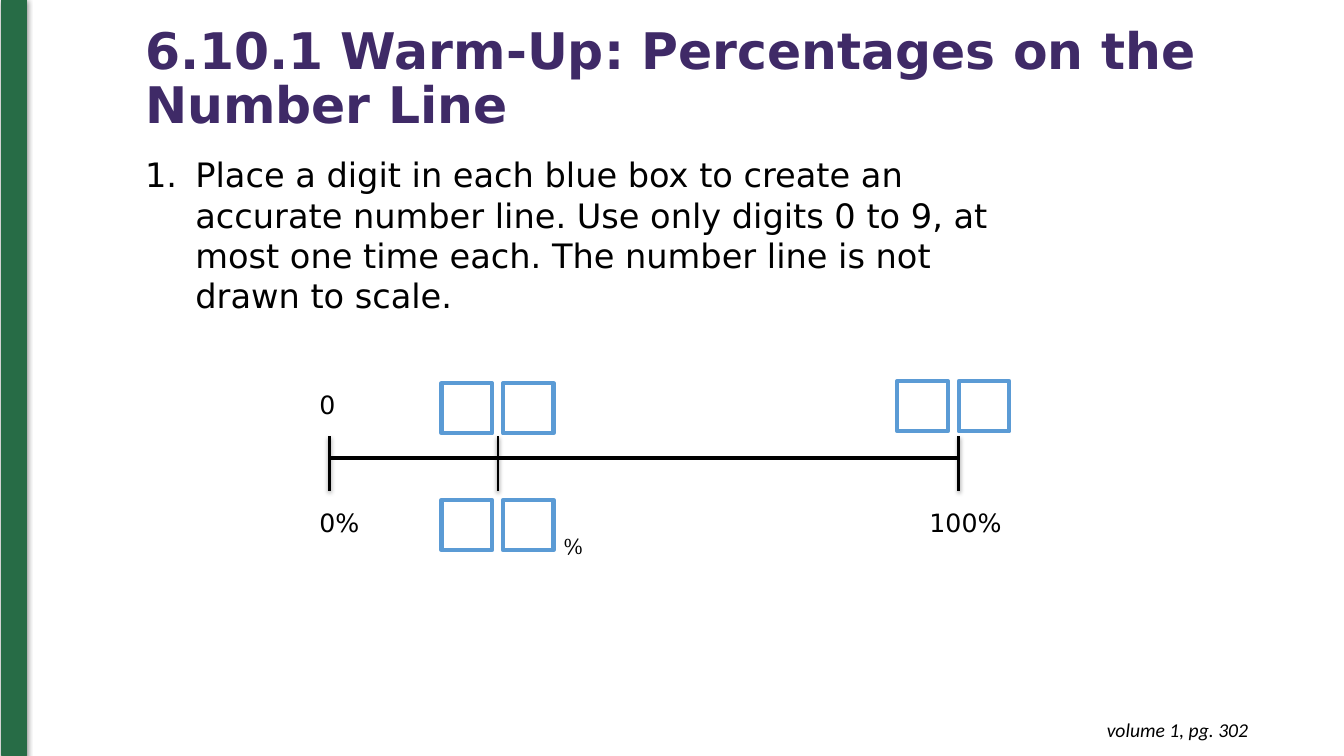
"""Build the warm-up slide about percentages on a number line."""
from lxml import etree
from pptx import Presentation, util as u
from pptx.dml.color import RGBColor
from pptx.enum import shapes, text
from pptx.oxml import ns

BLACK, WHITE, GREEN, PURPLE, BLUE = "000000", "FFFFFF", "276C46", "3F2A67", "5B9BD5"
SANS = "DejaVu Sans"
TITLE = "6.10.1 Warm-Up: Percentages on the Number Line"
TASK = ("Place a digit in each blue box to create an accurate number line. "
        "Use only digits 0 to 9, at most one time each.\u00a0"
        "The number line is not drawn to scale.")
PAGE = "volume 1, pg. 302"
LABELS = [
    ("0", (3.07, 3.81, 0.52, 0.38), 18, SANS, 1),
    ("0%", (3.07, 4.98, 0.72, 0.57), 18, SANS, 1),
    ("100%", (9.12, 4.98, 1.15, 0.48), 18, SANS, 1),
    ("%", (5.49, 5.1, 0.51, 0.35), 16, "Cambria", 1.5),
]
TICKS = [3.27, 4.94, 9.51]
AXIS, TOP, BASE = 4.54, 4.33, 4.87
PAIRS = [(4.38, 3.8), (4.38, 4.96), (8.9, 3.78)]
SIDE, STEP = 0.5, 0.61


def color(code):
    return RGBColor.from_string(code)


def add(parent, tag, **attrs):
    return etree.SubElement(parent, ns.qn(tag), {k: str(v) for k, v in attrs.items()})


def shade(item, alpha=0, blur=0, dist=0):
    """Give an item a downward shadow, or none when alpha is zero."""
    effect = add(item._element.spPr, "a:effectLst")
    if alpha:
        outer = add(effect, "a:outerShdw", blurRad=u.Pt(blur), dist=u.Pt(dist),
                    dir=5400000, rotWithShape=0)
        add(add(outer, "a:srgbClr", val=BLACK), "a:alpha", val=alpha * 1000)


def rect(slide, area, fill=None, line=None, width=1):
    box = slide.shapes.add_shape(shapes.MSO_SHAPE.RECTANGLE, *map(u.Inches, area))
    if fill:
        box.fill.solid()
        box.fill.fore_color.rgb = color(fill)
    else:
        box.fill.background()
    if line:
        box.line.color.rgb = color(line)
        box.line.width = u.Pt(width)
    else:
        box.line.fill.background()
    return box


def stroke(slide, start, end, width):
    line = slide.shapes.add_connector(shapes.MSO_CONNECTOR.STRAIGHT,
                                      *map(u.Inches, start + end))
    line.line.color.rgb = color(BLACK)
    line.line.width = u.Pt(width)
    return line


def write(box, words, size, font=SANS, ink=BLACK, bold=False, slant=False,
          align=text.PP_ALIGN.LEFT, anchor=text.MSO_ANCHOR.TOP):
    frame = box.text_frame
    frame.text = words
    frame.word_wrap = True
    frame.vertical_anchor = anchor
    para = frame.paragraphs[0]
    para.alignment = align
    face = para.runs[0].font
    face.size, face.name, face.bold, face.italic = u.Pt(size), font, bold, slant
    face.color.rgb = color(ink)
    return para


def textbox(slide, area):
    return slide.shapes.add_textbox(*map(u.Inches, area))


def number(para, indent):
    props = para._p.get_or_add_pPr()
    props.set("marL", str(u.Inches(indent)))
    props.set("indent", str(-u.Inches(indent)))
    add(add(props, "a:buClr"), "a:srgbClr", val=BLACK)
    add(props, "a:buFont", typeface=SANS)
    add(props, "a:buAutoNum", type="arabicPeriod")


def main():
    deck = Presentation()
    deck.slide_width, deck.slide_height = u.Inches(13.33), u.Inches(7.5)
    slide = deck.slides.add_slide(deck.slide_layouts[6])

    shade(rect(slide, (0.02, -0.01, 0.24, 7.51), GREEN, GREEN, 0.75), 50, 4.5, 1.5)
    head = write(textbox(slide, (1.34, 0.07, 12.08, 1.45)), TITLE, 36, ink=PURPLE,
                 bold=True, anchor=text.MSO_ANCHOR.MIDDLE)
    head.line_spacing = 0.9
    number(write(textbox(slide, (1.34, 1.48, 9.1, 1.72)), TASK, 24), 0.5)
    foot = textbox(slide, (8, 7.02, 4.48, 0.44))
    foot.text_frame.margin_top = foot.text_frame.margin_bottom = u.Inches(0.1)
    write(foot, PAGE, 14, "Calibri", slant=True, align=text.PP_ALIGN.RIGHT)

    shade(stroke(slide, (TICKS[0], AXIS), (TICKS[-1], AXIS), 3))
    for x in TICKS:
        shade(stroke(slide, (x, TOP), (x, BASE), 2), 38, 3.1, 1.6)
    for words, area, size, font, space in LABELS:
        box = rect(slide, area, WHITE)
        box.shadow.inherit = False
        para = write(box, words, size, font)
        para.line_spacing = space
        para.space_after = u.Pt(10)
    for x, y in PAIRS:
        for i in range(2):
            box = rect(slide, (x + i * STEP, y, SIDE, SIDE), line=BLUE, width=3)
            box.shadow.inherit = False

    deck.save("out.pptx")


if __name__ == "__main__":
    main()
